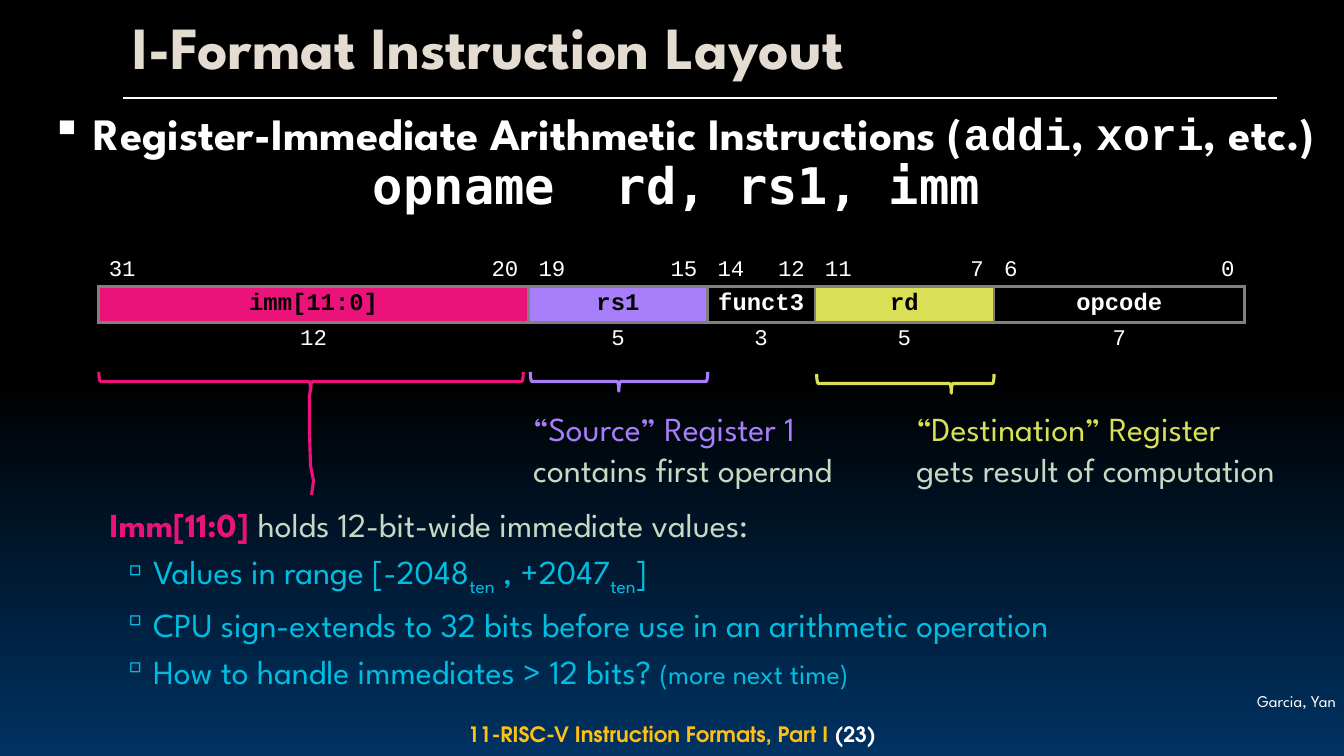
import copy
import dataclasses

import lxml.etree
import pptx
import pptx.dml.color
import pptx.enum.shapes
import pptx.enum.text
import pptx.oxml.ns
import pptx.util

Inches = pptx.util.Inches
Pt = pptx.util.Pt
qn = pptx.oxml.ns.qn
ALIGN = pptx.enum.text.PP_ALIGN
ANCHOR = pptx.enum.text.MSO_ANCHOR
NO_STYLE = "{2D5ABB26-0587-4C30-8999-92F81FD0307C}"


@dataclasses.dataclass(frozen=True)
class Theme:
    black: str = "000000"
    navy: str = "003262"
    white: str = "FFFFFF"
    cream: str = "E5DCD1"
    gold: str = "FEC016"
    pink: str = "EB1379"
    violet: str = "A97EFA"
    lime: str = "D9E056"
    sage: str = "C6DAC3"
    cyan: str = "00BDE2"
    grey: str = "808080"
    sans: str = "League Spartan"
    code: str = "Courier New"
    syntax: str = "DejaVu Sans Mono"
    footer: str = "TeX Gyre Adventor"
    title_size: float = 42.7
    syntax_size: float = 36
    heading_size: float = 32
    body_size: float = 24
    aside_size: float = 20
    field_size: float = 17
    bit_size: float = 16
    footer_size: float = 15.1
    credit_size: float = 11.7
    rule: float = 1.5
    stroke: float = 2.25


THEME = Theme()


def rgb(colour):
    return pptx.dml.color.RGBColor.from_string(colour)


def style(run, size, colour, face=THEME.sans, bold=False):
    run.font.size = Pt(size)
    run.font.name = face
    run.font.bold = bold
    run.font.color.rgb = rgb(colour)


def add_piece(paragraph, text, *look, **options):
    run = paragraph.add_run()
    run.text = text
    style(run, *look, **options)
    return run


def add_text(slide, box, align=ALIGN.LEFT, anchor=ANCHOR.TOP):
    frame = slide.shapes.add_textbox(*map(Inches, box)).text_frame
    frame.word_wrap = True
    frame.vertical_anchor = anchor
    frame.paragraphs[0].alignment = align
    return frame


def indent(paragraph, margin, first, bullet=None, percent=100):
    props = paragraph._p.get_or_add_pPr()
    props.set("marL", str(Inches(margin)))
    props.set("indent", str(Inches(first)))
    if bullet:
        lxml.etree.SubElement(props, qn("a:buSzPct"), val=str(percent * 1000))
        lxml.etree.SubElement(props, qn("a:buChar"), char=bullet)


def draw_background(slide):
    fill = slide.background.fill
    fill.gradient()
    fill.gradient_angle = 270
    for stop, position, colour in zip(fill.gradient_stops, (0.5, 1), (THEME.black, THEME.navy)):
        stop.position = position
        stop.color.rgb = rgb(colour)
    stops = slide.element.find(".//" + qn("a:gsLst"))
    start = copy.deepcopy(stops[0])
    start.set("pos", "0")
    stops.insert(0, start)


def draw_footer(slide, box, credit_box):
    credit = add_text(slide, credit_box, ALIGN.RIGHT)
    credit.margin_left = credit.margin_right = Inches(0.08)
    credit.margin_top = credit.margin_bottom = Inches(0.03)
    add_piece(credit.paragraphs[0], "Garcia, Yan", THEME.credit_size, THEME.white)
    lecture = add_text(slide, box, ALIGN.CENTER, ANCHOR.MIDDLE).paragraphs[0]
    for text, colour in (("11-RISC-V Instruction Formats, Part I ", THEME.gold), ("(23)", THEME.white)):
        add_piece(lecture, text, THEME.footer_size, colour, THEME.footer, True)


def draw_title(slide, box):
    left, top, width, height = box
    title = slide.shapes.title
    title.left, title.top, title.width, title.height = map(Inches, box)
    title.text_frame.text = "I-Format Instruction Layout"
    title.text_frame.vertical_anchor = ANCHOR.MIDDLE
    heading = title.text_frame.paragraphs[0]
    heading.alignment = ALIGN.LEFT
    heading.line_spacing = 0.9
    style(heading.runs[0], THEME.title_size, THEME.cream, bold=True)
    y = Inches(top + height + 0.05)
    rule = slide.shapes.add_connector(
        pptx.enum.shapes.MSO_CONNECTOR.STRAIGHT, Inches(left + 0.01), y, Inches(left + width - 0.03), y)
    rule.line.color.rgb = rgb(THEME.white)
    rule.line.width = Pt(THEME.rule)
    lxml.etree.SubElement(rule._element.spPr, qn("a:effectLst"))


def draw_syntax(slide, box):
    left, top, width, height = box
    syntax = add_text(slide, (left + 2.86, top + 0.48, 7.06, 0.71), ALIGN.CENTER).paragraphs[0]
    indent(syntax, 0.08, -0.08)
    add_piece(syntax, "opname  rd, rs1, imm", THEME.syntax_size, THEME.white, THEME.syntax, True)
    heading = add_text(slide, box).paragraphs[0]
    indent(heading, 0.51, -0.42, "▪", 95)
    for text, face in (("Register-Immediate Arithmetic Instructions (", THEME.sans), ("addi", THEME.code),
                       (", ", THEME.sans), ("xori", THEME.code), (", etc.)", THEME.sans)):
        add_piece(heading, text, THEME.heading_size, THEME.white, face, True)


def fill_cell(cell, text, size, colour, align=ALIGN.CENTER, bold=False):
    cell.text_frame.text = text
    paragraph = cell.text_frame.paragraphs[0]
    paragraph.alignment = align
    paragraph.line_spacing = 0.9
    style(paragraph.runs[0], size, colour, THEME.code, bold)


def border(cell, sides):
    props = cell._tc.get_or_add_tcPr()
    for side in sides:
        line = lxml.etree.SubElement(props, qn("a:ln" + side), w=str(Pt(THEME.stroke)))
        paint = lxml.etree.SubElement(line, qn("a:solidFill"))
        lxml.etree.SubElement(paint, qn("a:srgbClr"), val=THEME.grey)


def draw_layout_table(slide, box):
    fields = [
        ("imm[11:0]", THEME.black, THEME.pink, (2, 1, 1, 1, 2, 2, 1, 2)),
        ("rs1", THEME.black, THEME.violet, (2, 1, 2)),
        ("funct3", THEME.white, None, (1.5, 1.5)),
        ("rd", THEME.black, THEME.lime, (2, 1, 2)),
        ("opcode", THEME.white, None, (2, 1, 1, 1, 2)),
    ]
    spans = [span for field in fields for span in field[3]]
    frame = slide.shapes.add_table(3, len(spans), *map(Inches, box))
    table = frame.table
    table.first_row = table.horz_banding = False
    table._tbl.tblPr.find(qn("a:tableStyleId")).text = NO_STYLE
    for row, height in zip(table.rows, (0.37, 0.33, 0.35)):
        row.height = Inches(height)
    for column, span in zip(table.columns, spans):
        column.width = Inches(box[2] * span / sum(spans))

    first, high = 0, 31
    for name, ink, fill, columns in fields:
        bits = round(sum(columns))
        last, low = first + len(columns) - 1, high - bits + 1
        for row in (1, 2):
            table.cell(row, first).merge(table.cell(row, last))
        for column in range(first, last + 1):
            for row, sides in enumerate(("B", "LRTB" if column == first else "TB", "T")):
                cell = table.cell(row, column)
                border(cell, sides)
                cell.fill.background()
            table.cell(0, column).vertical_anchor = ANCHOR.BOTTOM
        fill_cell(table.cell(0, first), str(high), THEME.bit_size, THEME.white, ALIGN.LEFT)
        fill_cell(table.cell(0, last), str(low), THEME.bit_size, THEME.white, ALIGN.RIGHT)
        fill_cell(table.cell(1, first), name, THEME.field_size, ink, bold=True)
        fill_cell(table.cell(2, first), str(bits), THEME.bit_size, THEME.white)
        if fill:
            table.cell(1, first).fill.solid()
            table.cell(1, first).fill.fore_color.rgb = rgb(fill)
        first, high = last + 1, low - 1


def outline(shape, colour):
    shape.shadow.inherit = False
    shape.fill.background()
    shape.line.color.rgb = rgb(colour)
    shape.line.width = Pt(THEME.stroke)


def draw_brace(slide, box, colour, tip=0.499):
    left, top, width, height = box
    turned = (left + (width - height) / 2, top + (height - width) / 2, height, width)
    brace = slide.shapes.add_shape(pptx.enum.shapes.MSO_SHAPE.LEFT_BRACE, *map(Inches, turned))
    brace.rotation = 270
    brace.adjustments[0] = 0.083
    brace.adjustments[1] = tip
    outline(brace, colour)


def draw_register_note(slide, box, text, colour):
    frame = add_text(slide, box)
    frame.text = text
    name, role = [run for paragraph in frame.paragraphs for run in paragraph.runs]
    style(name, THEME.body_size, colour)
    style(role, THEME.body_size, THEME.sage)


def draw_immediate_stem(slide, left, top):
    bends = [(0.01, 0), (0, 0.07), (0, 0.43), (0.01, 0.76), (0.04, 0.91), (0.02, 1.05)]
    points = [(Inches(left + x), Inches(top + y)) for x, y in bends]
    builder = slide.shapes.build_freeform(*points[0])
    builder.add_line_segments(points[1:], close=False)
    outline(builder.convert_to_shape(), THEME.pink)


def draw_immediate_notes(slide, box):
    frame = add_text(slide, box)
    lead = frame.paragraphs[0]
    lead.level = 1
    indent(lead, 0.01, 0)
    add_piece(lead, "Imm[11:0] ", THEME.body_size, THEME.pink, bold=True)
    add_piece(lead, "holds 12-bit-wide immediate values:", THEME.body_size, THEME.sage)
    notes = [
        ["Values in range [-2048", "ten", " , +2047", "ten", "]"],
        ["CPU sign-extends to 32 bits before use in an arithmetic operation"],
        ["How to handle immediates > 12 bits? ", "(more next time)"],
    ]
    for pieces in notes:
        note = frame.add_paragraph()
        note.level = 2
        note.space_before = Pt(5)
        indent(note, 0.44, -0.31, "▫", 90)
        for text in pieces:
            size = THEME.aside_size if text.startswith("(") else THEME.body_size
            run = add_piece(note, text, size, THEME.cyan)
            if text == "ten":
                run.font._element.set("baseline", "-25000")


def main():
    deck = pptx.Presentation()
    deck.slide_width, deck.slide_height = Inches(13.33), Inches(7.5)
    slide = deck.slides.add_slide(deck.slide_layouts[5])
    draw_background(slide)
    draw_footer(slide, (2.45, 7.12, 8.43, 0.32), (11.89, 6.83, 1.44, 0.26))
    draw_title(slide, (1.21, 0.08, 11.49, 0.84))
    draw_syntax(slide, (0.32, 1, 12.84, 0.68))
    draw_layout_table(slide, (0.98, 2.44, 11.37, 1.05))
    draw_immediate_notes(slide, (0.98, 4.95, 11.83, 1.93))
    draw_brace(slide, (0.98, 3.69, 4.21, 0.19), THEME.pink)
    draw_brace(slide, (5.26, 3.69, 1.76, 0.19), THEME.violet)
    draw_brace(slide, (8.1, 3.71, 1.76, 0.19), THEME.lime, 0.759)
    draw_register_note(slide, (8.99, 4, 4, 0.91), "“Destination” Register\vgets result of computation", THEME.lime)
    draw_register_note(slide, (5.19, 4, 3.44, 0.91), "“Source” Register 1\ncontains first operand", THEME.violet)
    draw_immediate_stem(slide, 3.07, 3.86)
    deck.save("out.pptx")


if __name__ == "__main__":
    main()
